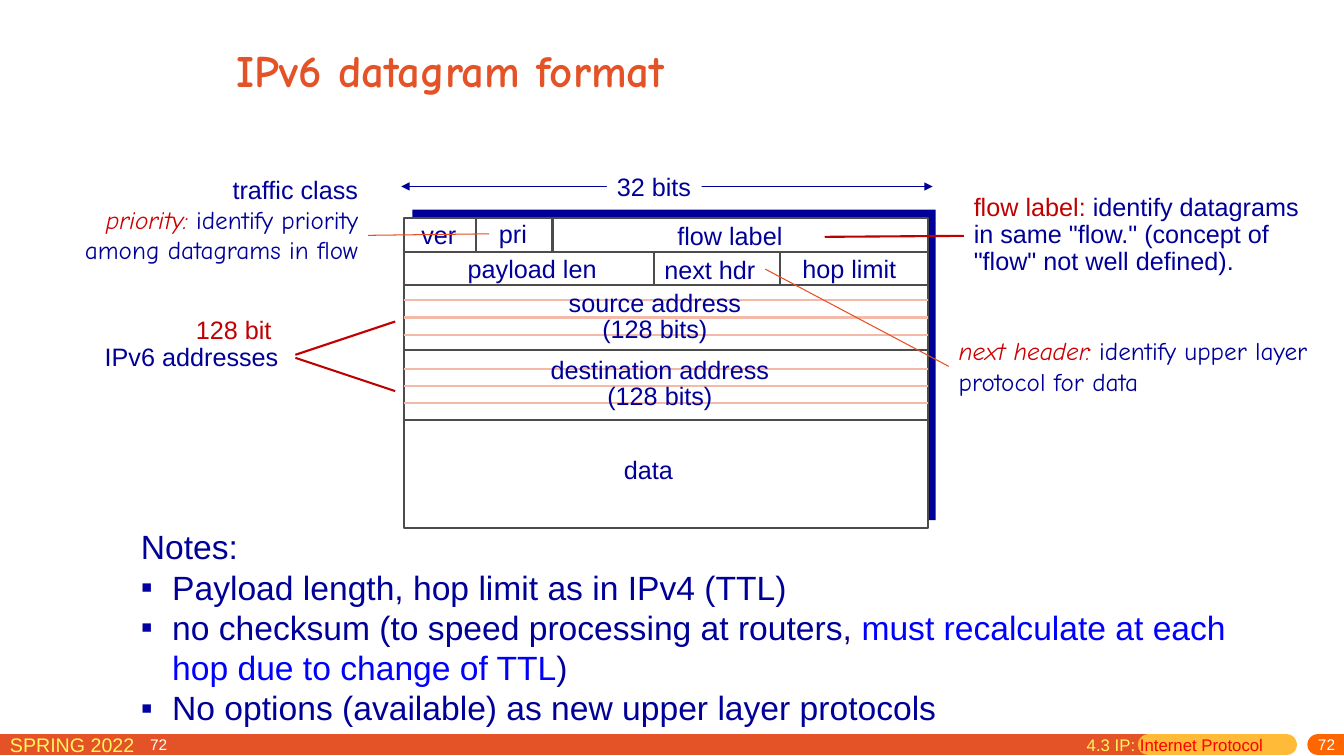
from dataclasses import dataclass

import lxml.etree
import pptx
import pptx.dml.color
import pptx.enum.shapes
import pptx.enum.text
import pptx.oxml.ns
import pptx.util

Inches = pptx.util.Inches
Align = pptx.enum.text.PP_ALIGN
Anchor = pptx.enum.text.MSO_ANCHOR


@dataclass(frozen=True)
class Theme:
    sans: str = "Arial"
    comic: str = "Comic Neue"
    navy: str = "000099"
    blue: str = "0000FF"
    bullet: str = "0000A3"
    crimson: str = "C00000"
    red: str = "CC0000"
    bright_red: str = "FF0000"
    orange: str = "E45327"
    pointer: str = "E44F22"
    stripe: str = "F4BAA9"
    grey: str = "4C4C4C"
    white: str = "FFFFFF"
    yellow: str = "FFF65C"
    amber: str = "FFBA37"
    tangerine: str = "FF6600"
    title_size: float = 32
    remark_size: float = 24
    body_size: float = 18
    term_size: float = 14
    section_size: float = 12
    number_size: float = 11
    thick: float = 15
    medium: float = 1.5
    thin: float = 0.75


T = Theme()


def rgb(color):
    return pptx.dml.color.RGBColor.from_string(color)


def add_xml(parent, tag, **attrs):
    return lxml.etree.SubElement(parent, pptx.oxml.ns.qn(tag), **attrs)


def line(s, x1, y1, x2, y2, color, width, arrows=False, cap=None):
    c = s.shapes.add_connector(pptx.enum.shapes.MSO_CONNECTOR.STRAIGHT,
                               Inches(x1), Inches(y1), Inches(x2), Inches(y2))
    c.line.color.rgb = rgb(color)
    c.line.width = pptx.util.Pt(width)
    ln = c._element.spPr.get_or_add_ln()
    if cap:
        ln.set("cap", cap)
    if arrows:
        add_xml(ln, "a:headEnd", type="triangle")
        add_xml(ln, "a:tailEnd", type="triangle")
    add_xml(c._element.spPr, "a:effectLst")
    return c


def rect(s, x, y, w, h, fill, border=None):
    sp = s.shapes.add_shape(pptx.enum.shapes.MSO_SHAPE.RECTANGLE,
                            Inches(x), Inches(y), Inches(w), Inches(h))
    sp.shadow.inherit = False
    sp.fill.solid()
    sp.fill.fore_color.rgb = rgb(fill)
    if border:
        sp.line.color.rgb = rgb(border)
        sp.line.width = pptx.util.Pt(T.medium)
    else:
        sp.line.fill.background()
    return sp


def text(s, x, y, w, h, paragraphs, size=T.body_size, align=Align.LEFT,
         wrap=True, spacing=None, anchor=Anchor.TOP):
    sp = s.shapes.add_textbox(Inches(x), Inches(y), Inches(w), Inches(h))
    tf = sp.text_frame
    tf.word_wrap = wrap
    tf.vertical_anchor = anchor
    for i, runs in enumerate(paragraphs):
        p = tf.add_paragraph() if i else tf.paragraphs[0]
        p.alignment = align
        if spacing:
            p.line_spacing = spacing
        for content, color, *style in runs:
            r = p.add_run()
            r.text = content
            r.font.size = pptx.util.Pt(size)
            r.font.name = T.comic if "comic" in style else T.sans
            r.font.color.rgb = rgb(color)
            r.font.italic = "italic" in style
            r.font.bold = "bold" in style
    return sp


def title(s, x, y, w, h):
    text(s, x, y, w, h, [[("IPv6 datagram format", T.orange, "comic", "bold")]],
         size=T.title_size, anchor=Anchor.MIDDLE)


def footer(s, x, y):
    for x1, x2, color in [(-0.18, 11.39, T.orange), (11.39, 12.76, T.amber),
                          (13.07, 13.6, T.tangerine)]:
        line(s, x + x1, y + 0.17, x + x2, y + 0.17, color, T.thick, cap="rnd")
    text(s, x, y, 2.29, 0.31, [[("SPRING 2022", T.yellow)]], size=T.term_size)
    for dx, w, align in [(10.75, 2.59, Align.RIGHT), (1.39, 0.55, Align.LEFT)]:
        sp = text(s, x + dx, y + 0.1, w, 0.18, [[("72", T.white)]],
                  size=T.number_size, align=align, anchor=Anchor.MIDDLE)
        sp.text_frame.margin_top = 0
    text(s, x + 10.68, y + 0.02, 2.2, 0.31,
         [[("4.3 IP: ", T.yellow), ("Internet Protocol", T.bright_red)]],
         size=T.section_size)


def datagram(s, x, y, w, h):
    rect(s, x + 0.08, y - 0.08, w, h, T.navy)
    rect(s, x, y, w, h, T.white, T.grey)
    for dy in (0.34, 0.67, 1.31, 2.01):
        line(s, x, y + dy, x + w, y + dy, T.grey, T.medium)
    for dx, top in [(0.71, 0), (1.47, 0), (2.48, 0.34), (3.73, 0.34)]:
        line(s, x + dx, y + top, x + dx, y + top + 0.33, T.grey, T.medium)
    for first in (0.82, 1.5):
        for i in range(3):
            dy = first + i * 0.17
            line(s, x, y + dy, x + w, y + dy, T.stripe, T.medium)
    for label, dx, dy, width in [
        ("ver", 0.07, -0.03, 0.55), ("pri", 0.84, -0.04, 0.48),
        ("flow label", 2.61, -0.02, 1.24), ("payload len", 0.53, 0.3, 1.48),
        ("next hdr", 2.48, 0.31, 1.1), ("hop limit", 3.85, 0.3, 1.13),
        ("data", 2.08, 2.3, 0.69),
    ]:
        text(s, x + dx, y + dy, width, 0.4, [[(label, T.navy)]], wrap=False)
    for label, dx, dy, width in [("source address", 1.53, 0.69, 1.91),
                                 ("destination address", 1.35, 1.35, 2.37)]:
        text(s, x + dx, y + dy, width, 0.61,
             [[(label, T.navy)], [("(128 bits)", T.navy)]],
             align=Align.CENTER, wrap=False, spacing=0.85)
    line(s, x - 0.03, y - 0.31, x + w + 0.05, y - 0.31, T.navy, T.thin, arrows=True)
    width_label = text(s, x + 2.01, y - 0.51, 0.94, 0.4, [[("32 bits", T.navy)]], wrap=False)
    width_label.fill.solid()
    width_label.fill.fore_color.rgb = rgb(T.white)


def traffic_class(s, x, y, w, h):
    sp = text(s, x, y, w, h, [
        [("traffic class", T.navy)],
        [("priority: ", T.red, "comic", "italic"), ("identify priority", T.navy, "comic")],
        [("among datagrams in flow", T.navy, "comic")],
    ], align=Align.RIGHT)
    c = line(s, x + w, y + h / 2, x + w + 1.2, y + 0.64, T.pointer, T.thin)
    c.begin_connect(sp, 3)


def addresses(s, x, y, w, h):
    text(s, x, y, w, h, [[("128 bit ", T.crimson)], [("IPv6 addresses", T.navy)]],
         align=Align.RIGHT, spacing=0.9)
    for start, end in [(0.45, 0.78), (0.42, 0.09)]:
        line(s, x + w + 0.07, y + start, x + w + 1.06, y + end, T.crimson, T.medium)


def flow_label(s, x, y, w, h):
    sp = text(s, x, y, w, h, [[
        ("flow label: ", T.crimson),
        ('identify datagrams in same "flow." (concept of "flow" not well defined).', T.navy),
    ]], spacing=0.9)
    c = line(s, x - 1.38, y + 0.47, x, y + h / 2, T.crimson, T.medium)
    c.end_connect(sp, 1)


def next_header(s, x, y, w, h):
    sp = text(s, x, y, w, h, [[
        ("next header: ", T.red, "comic", "italic"),
        ("identify upper layer protocol for data", T.navy, "comic"),
    ]])
    c = line(s, x - 1.82, y - 0.61, x, y + h / 2, T.pointer, T.thin)
    c.end_connect(sp, 1)


def remarks(s, x, y, w, h):
    sp = text(s, x, y, w, h, [
        [("Notes:", T.navy)],
        [("Payload length, hop limit as in IPv4 (TTL)", T.navy)],
        [("no checksum (to speed processing at routers, ", T.navy),
         ("must recalculate at each hop due to change of TTL", T.blue), (")", T.navy)],
        [("No options (available) as new upper layer protocols", T.navy)],
    ], size=T.remark_size)
    indent = Inches(0.31)
    for p in sp.text_frame.paragraphs[1:]:
        pPr = p._p.get_or_add_pPr()
        pPr.set("marL", str(indent))
        pPr.set("indent", str(-indent))
        add_xml(add_xml(pPr, "a:buClr"), "a:srgbClr", val=T.bullet)
        add_xml(pPr, "a:buFont", typeface=T.sans)
        add_xml(pPr, "a:buChar", char="▪")


def main():
    prs = pptx.Presentation()
    prs.slide_width, prs.slide_height = Inches(13.33), Inches(7.5)
    s = prs.slides.add_slide(prs.slide_layouts[6])
    footer(s, 0, 7.22)
    title(s, 2.25, 0.2, 8.5, 0.99)
    datagram(s, 4.01, 2.16, 5.19, 3.08)
    traffic_class(s, 0.44, 1.68, 3.21, 1.31)
    addresses(s, 0.29, 3.1, 2.57, 0.65)
    flow_label(s, 9.56, 1.88, 3.54, 0.92)
    next_header(s, 9.41, 3.28, 3.86, 0.71)
    remarks(s, 1.3, 5.17, 11.27, 2.12)
    prs.save("out.pptx")


if __name__ == "__main__":
    main()
